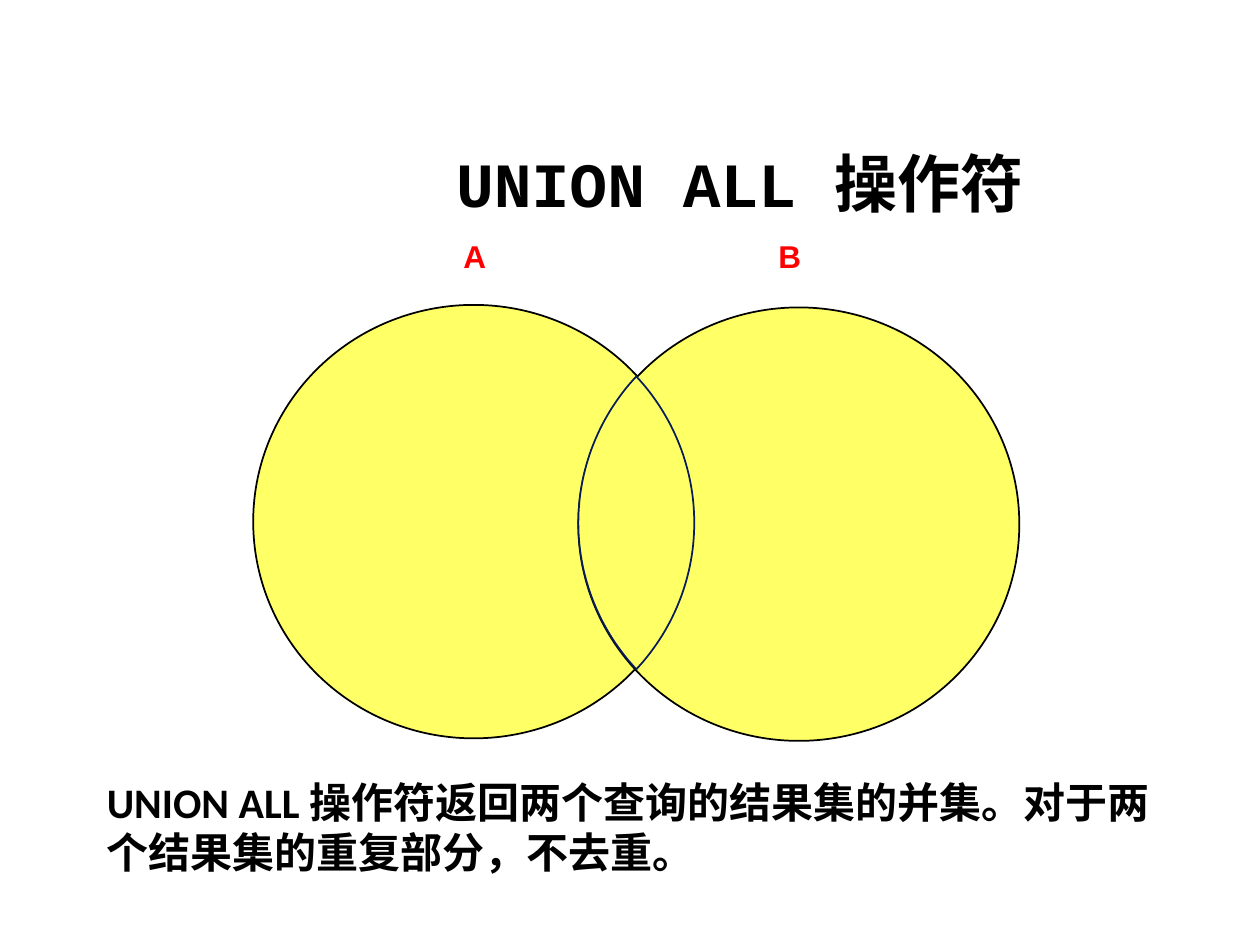
from dataclasses import dataclass
from math import acos, cos, sin

from pptx import Presentation
from pptx.dml.color import RGBColor
from pptx.enum.shapes import MSO_SHAPE
from pptx.enum.text import MSO_ANCHOR, PP_ALIGN
from pptx.util import Inches, Pt

BLACK = RGBColor(0x00, 0x00, 0x00)
WHITE = RGBColor(0xFF, 0xFF, 0xFF)
RED = RGBColor(0xFF, 0x00, 0x00)
YELLOW = RGBColor(0xFF, 0xFF, 0x66)
NAVY = RGBColor(0x08, 0x1D, 0x58)

SET_WIDTH, SET_HEIGHT = 3.5, 3.44
ARC_STEPS = 60


@dataclass
class QuerySet:
    name: str
    left: float
    top: float
    label_left: float

    @property
    def center_x(self) -> float:
        return self.left + SET_WIDTH / 2

    @property
    def center_y(self) -> float:
        return self.top + SET_HEIGHT / 2


def add_text(paragraph, text: str, *, size: float, font: str,
             color: RGBColor = BLACK) -> None:
    run = paragraph.add_run()
    run.text = text
    run.font.size = Pt(size)
    run.font.name = font
    run.font.bold = True
    run.font.color.rgb = color


def format_shape(shape, line_color: RGBColor) -> None:
    shape.shadow.inherit = False
    shape.fill.solid()
    shape.fill.fore_color.rgb = YELLOW
    shape.line.color.rgb = line_color
    shape.line.width = Pt(1)


def add_title(slide) -> None:
    title = slide.shapes.title
    title.left, title.top = Inches(2.83), Inches(1.06)
    title.width, title.height = Inches(6.08), Inches(0.77)
    title.text_frame.vertical_anchor = MSO_ANCHOR.MIDDLE
    paragraph = title.text_frame.paragraphs[0]
    paragraph.alignment = PP_ALIGN.CENTER
    add_text(paragraph, "UNION ALL ", size=36, font="Courier New")
    add_text(paragraph, "操作符", size=36, font="Calibri")


def add_query_set(slide, query_set: QuerySet) -> None:
    group = slide.shapes.add_group_shape()
    circle = group.shapes.add_shape(
        MSO_SHAPE.OVAL, Inches(query_set.left), Inches(query_set.top),
        Inches(SET_WIDTH), Inches(SET_HEIGHT))
    format_shape(circle, BLACK)
    label = group.shapes.add_textbox(
        Inches(query_set.label_left), Inches(1.83), Inches(0.38), Inches(0.4))
    label.text_frame.word_wrap = False
    add_text(label.text_frame.paragraphs[0], query_set.name,
             size=18, font="Arial", color=RED)


def add_overlap(slide, first: QuerySet, second: QuerySet) -> None:
    """Outline the lens where the two sets meet, one arc from each set."""
    radius_x, radius_y = SET_WIDTH / 2, SET_HEIGHT / 2
    half_angle = acos((second.center_x - first.center_x) / 2 / radius_x)
    center_y = (first.center_y + second.center_y) / 2
    points = []
    for center_x, side in ((first.center_x, 1), (second.center_x, -1)):
        for step in range(ARC_STEPS + 1):
            angle = half_angle * (2 * step / ARC_STEPS - 1)
            points.append((Inches(center_x + side * radius_x * cos(angle)),
                           Inches(center_y + side * radius_y * sin(angle))))
    builder = slide.shapes.build_freeform(*points[0])
    builder.add_line_segments(points[1:], close=True)
    format_shape(builder.convert_to_shape(), NAVY)


def add_description(slide) -> None:
    box = slide.shapes.add_textbox(
        Inches(0.75), Inches(6.11), Inches(8.66), Inches(0.91))
    box.text_frame.word_wrap = True
    add_text(box.text_frame.paragraphs[0],
             "UNION ALL 操作符返回两个查询的结果集的并集。"
             "对于两个结果集的重复部分，不去重。", size=24, font="Calibri")


def main() -> None:
    presentation = Presentation()
    presentation.slide_width, presentation.slide_height = Inches(10), Inches(7.5)
    slide = presentation.slides.add_slide(presentation.slide_layouts[5])
    slide.background.fill.solid()
    slide.background.fill.fore_color.rgb = WHITE

    set_a = QuerySet("A", left=2.01, top=2.42, label_left=3.58)
    set_b = QuerySet("B", left=4.59, top=2.44, label_left=6.08)
    add_title(slide)
    for query_set in (set_a, set_b):
        add_query_set(slide, query_set)
    add_overlap(slide, set_a, set_b)
    add_description(slide)
    presentation.save("out.pptx")


if __name__ == "__main__":
    main()
